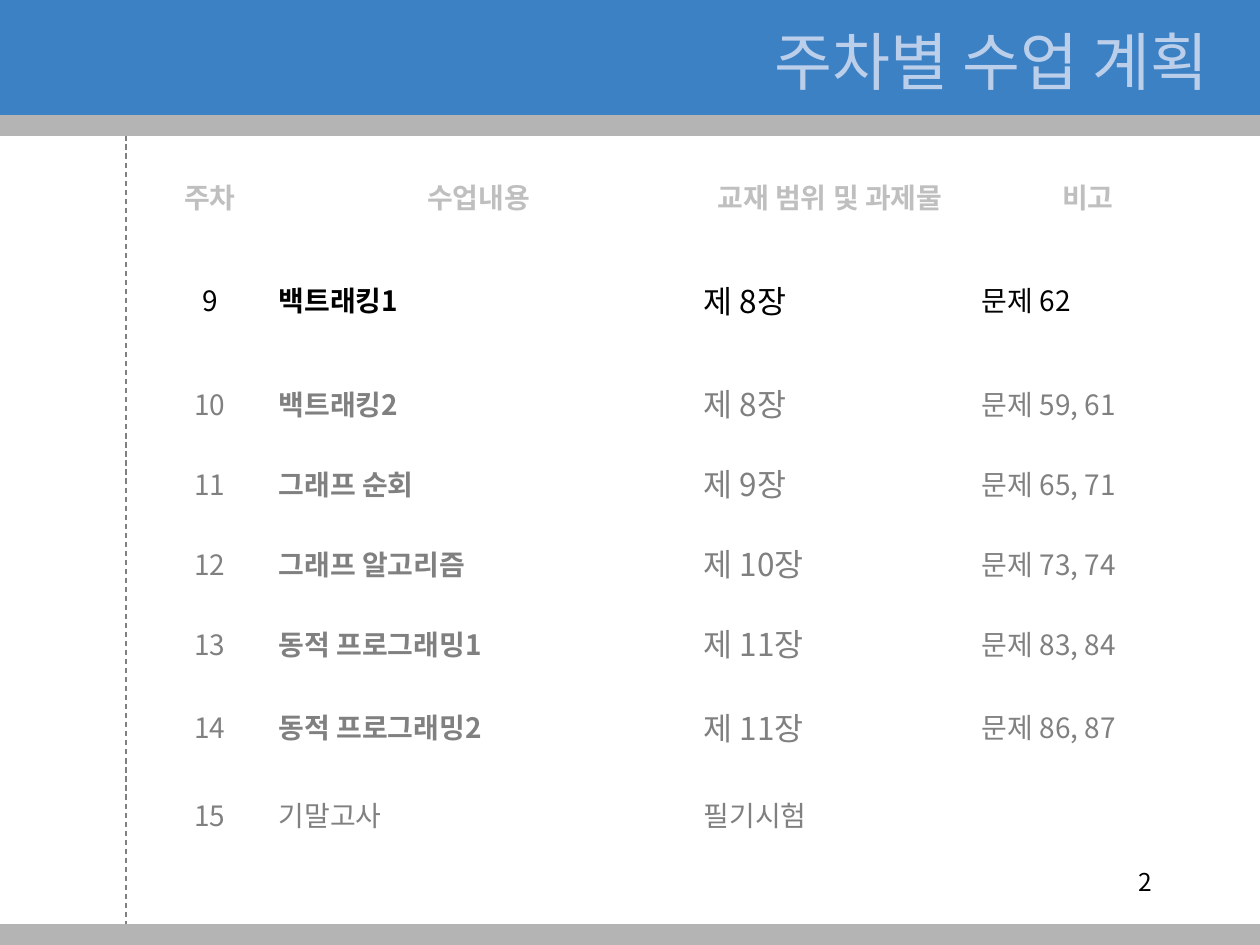
from dataclasses import dataclass

from pptx import Presentation
from pptx import util as u
from pptx.dml import color
from pptx.enum import dml, shapes, text
from pptx.oxml import ns
from lxml import etree

EMU_PER_PX = 914400 / 126
FONT = "Noto Sans CJK KR"
NO_STYLE = "{2D5ABB26-0587-4C30-8999-92F81FD0307C}"
COLORS = {
    "white": "FFFFFF",
    "blue": "3D81C5",
    "band": "B4B4B4",
    "title": "BCCFEA",
    "header": "BFBFBF",
    "muted": "808080",
    "current": "000000",
}
LEFT, CENTER, RIGHT = text.PP_ALIGN.LEFT, text.PP_ALIGN.CENTER, text.PP_ALIGN.RIGHT
CELL_FORMAT = {
    "margin_left": 13,
    "margin_right": 13,
    "margin_top": 6,
    "margin_bottom": 6,
}


@dataclass
class Box:
    left: int
    top: int
    width: int
    height: int


@dataclass
class Band:
    box: Box
    fill: str


@dataclass
class TextStyle:
    size: int
    color: str
    bold: bool = False
    align: text.PP_ALIGN = LEFT


@dataclass
class Week:
    number: str
    topic: str
    chapter: str
    exercise: str = ""
    color: str = "muted"
    final: bool = False


BANDS = [
    Band(Box(0, 105, 1260, 31), "band"),
    Band(Box(0, 0, 1260, 115), "blue"),
    Band(Box(0, 924, 1260, 21), "band"),
]
HEADERS = ["주차", "수업내용", "교재 범위 및 과제물", "비고"]
WEEKS = [
    Week("9", "백트래킹1", "제 8장", "문제 62", color="current"),
    Week("10", "백트래킹2", "제 8장", "문제 59, 61"),
    Week("11", "그래프 순회", "제 9장", "문제 65, 71"),
    Week("12", "그래프 알고리즘", "제 10장", "문제 73, 74"),
    Week("13", "동적 프로그래밍1", "제 11장", "문제 83, 84"),
    Week("14", "동적 프로그래밍2", "제 11장", "문제 86, 87"),
    Week("15", "기말고사", "필기시험", final=True),
]
COLUMN_WIDTHS = [112, 425, 278, 238]
ROW_HEIGHTS = [80, 127, 80, 80, 80, 80, 88, 87]


def px(length: int) -> u.Emu:
    return u.Emu(round(length * EMU_PER_PX))


def rgb(name: str) -> color.RGBColor:
    return color.RGBColor.from_string(COLORS[name])


def place(box: Box) -> tuple:
    return px(box.left), px(box.top), px(box.width), px(box.height)


def write(frame, words: str, style: TextStyle) -> None:
    paragraph = frame.paragraphs[0]
    paragraph.alignment = style.align
    run = paragraph.add_run()
    run.text = words
    run.font.color.rgb = rgb(style.color)
    for name, value in {"size": u.Pt(style.size), "bold": style.bold, "name": FONT}.items():
        setattr(run.font, name, value)
    properties = run._r.get_or_add_rPr()
    etree.SubElement(properties, ns.qn("a:ea")).set("typeface", FONT)


def draw_margin_line(slide) -> None:
    line = slide.shapes.add_connector(
        shapes.MSO_CONNECTOR.STRAIGHT, px(126), px(0), px(126), px(945)
    )
    line.line.color.rgb = rgb("muted")
    line.line.width = u.Pt(0.75)
    line.line.dash_style = dml.MSO_LINE.DASH
    etree.SubElement(line._element.spPr, ns.qn("a:effectLst"))


def draw_band(slide, band: Band) -> None:
    shape = slide.shapes.add_shape(shapes.MSO_SHAPE.RECTANGLE, *place(band.box))
    shape.fill.solid()
    shape.fill.fore_color.rgb = rgb(band.fill)
    shape.line.fill.background()
    shape.shadow.inherit = False


def draw_title(slide, words: str, box: Box) -> None:
    title = slide.shapes.title
    for name, value in zip(("left", "top", "width", "height"), place(box)):
        setattr(title, name, value)
    title.text_frame.vertical_anchor = text.MSO_ANCHOR.MIDDLE
    title.text_frame.auto_size = text.MSO_AUTO_SIZE.NONE
    write(title.text_frame, words, TextStyle(36, "title", align=RIGHT))
    slide.shapes._spTree.append(title._element)


def draw_page_number(slide, number: str, box: Box) -> None:
    frame = slide.shapes.add_textbox(*place(box)).text_frame
    frame.word_wrap = True
    write(frame, number, TextStyle(14, "current", align=RIGHT))


def fill_cell(cell, words: str, style: TextStyle) -> None:
    for name, value in CELL_FORMAT.items():
        setattr(cell, name, px(value))
    cell.vertical_anchor = text.MSO_ANCHOR.MIDDLE
    cell.fill.solid()
    cell.fill.fore_color.rgb = rgb("white")
    if words:
        write(cell.text_frame, words, style)


def week_cells(week: Week) -> list:
    return [
        (week.number, TextStyle(16, week.color, align=CENTER)),
        (week.topic, TextStyle(16, week.color, bold=not week.final)),
        (week.chapter, TextStyle(16 if week.final else 18, week.color)),
        (week.exercise, TextStyle(16, week.color)),
    ]


def draw_schedule(slide, left: int, top: int) -> None:
    box = Box(left, top, sum(COLUMN_WIDTHS), sum(ROW_HEIGHTS))
    frame = slide.shapes.add_table(len(ROW_HEIGHTS), len(COLUMN_WIDTHS), *place(box))
    table = frame.table
    table.first_row = table.horz_banding = False
    table._tbl.tblPr.find(ns.qn("a:tableStyleId")).text = NO_STYLE
    for column, width in zip(table.columns, COLUMN_WIDTHS):
        column.width = px(width)
    header_style = TextStyle(16, "header", bold=True, align=CENTER)
    rows = [[(words, header_style) for words in HEADERS]]
    rows += [week_cells(week) for week in WEEKS]
    for row, height, contents in zip(table.rows, ROW_HEIGHTS, rows):
        row.height = px(height)
        for cell, (words, style) in zip(row.cells, contents):
            fill_cell(cell, words, style)


def main() -> None:
    presentation = Presentation()
    presentation.slide_width = px(1260)
    presentation.slide_height = px(945)
    slide = presentation.slides.add_slide(presentation.slide_layouts[5])
    draw_margin_line(slide)
    for band in BANDS:
        draw_band(slide, band)
    draw_title(slide, "주차별 수업 계획 ", Box(481, 16, 754, 88))
    draw_page_number(slide, "2", Box(903, 861, 262, 63))
    draw_schedule(slide, 154, 156)
    presentation.save("out.pptx")


if __name__ == "__main__":
    main()
